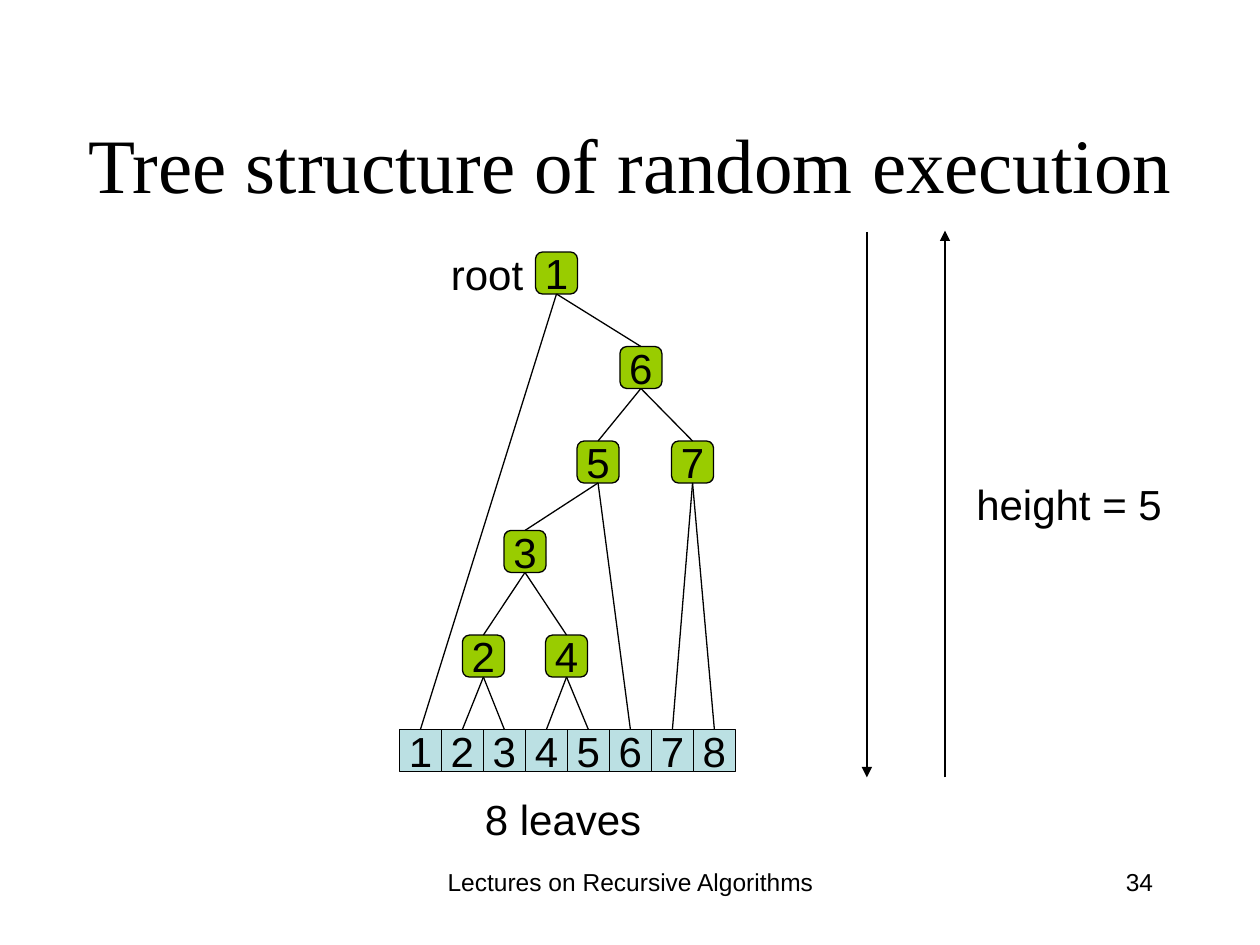
from pptx import Presentation
from pptx.dml.color import RGBColor
from pptx.enum.shapes import MSO_CONNECTOR, MSO_SHAPE
from pptx.enum.text import MSO_ANCHOR, MSO_AUTO_SIZE, PP_ALIGN
from pptx.oxml.ns import qn
from pptx.util import Inches, Pt
from lxml import etree

RECT, ROUND = MSO_SHAPE.RECTANGLE, MSO_SHAPE.ROUNDED_RECTANGLE
STRAIGHT = MSO_CONNECTOR.STRAIGHT
MIDDLE, TOP = MSO_ANCHOR.MIDDLE, MSO_ANCHOR.TOP
LEFT, CENTER, RIGHT = PP_ALIGN.LEFT, PP_ALIGN.CENTER, PP_ALIGN.RIGHT
GROW, FIXED = MSO_AUTO_SIZE.SHAPE_TO_FIT_TEXT, MSO_AUTO_SIZE.NONE

THEME = {
    "ink": RGBColor(0x00, 0x00, 0x00),
    "leaf": RGBColor(0xBB, 0xE0, 0xE3),
    "node": RGBColor(0x99, 0xCC, 0x00),
    "title_font": "Times New Roman",
    "body_font": "Arial",
    "title_size": 44,
    "body_size": 24,
    "footer_size": 14,
    "line": 0.74,
}

CELL = 1 / 3
LEAF_LEFT, LEAF_TOP = 3.17, 5.79
NODES = {
    "1": (4.25, 2), "6": (4.92, 2.75), "5": (4.58, 3.5),
    "7": (5.33, 3.5), "3": (4, 4.21), "2": (3.67, 5.04), "4": (4.33, 5.04),
}
NODE_CHILDREN = {"1": "6", "6": "57", "5": "3", "3": "24"}
LEAF_CHILDREN = {"1": "1", "2": "23", "4": "45", "5": "6", "7": "78"}


def write(sp, text, size, font, align, anchor, wrap):
    tf = sp.text_frame
    tf.text = text
    tf.word_wrap = wrap
    tf.vertical_anchor = anchor
    p = tf.paragraphs[0]
    p.alignment = align
    r = p.runs[0]
    r.font.size = Pt(size)
    r.font.name = font
    r.font.color.rgb = THEME["ink"]


def connect(start, end):
    line = s.shapes.add_connector(STRAIGHT, *[Inches(v) for v in (*start, *end)])
    line.line.color.rgb = THEME["ink"]
    line.line.width = Pt(THEME["line"])
    etree.SubElement(line._element.spPr, qn("a:effectLst"))
    return line


prs = Presentation()
prs.slide_width, prs.slide_height = Inches(10), Inches(7.5)
s = prs.slides.add_slide(prs.slide_layouts[5])

title = s.shapes.title
title.left, title.top = Inches(0.42), Inches(0.67)
title.width, title.height = Inches(9.17), Inches(1.25)
write(title, "Tree structure of random execution", THEME["title_size"],
      THEME["title_font"], CENTER, MIDDLE, True)

leaves = {str(i + 1): (LEAF_LEFT + i * CELL, LEAF_TOP) for i in range(8)}
for boxes, kind, fill in ((leaves, RECT, "leaf"), (NODES, ROUND, "node")):
    for key, (x, y) in boxes.items():
        sp = s.shapes.add_shape(kind, Inches(x), Inches(y), Inches(CELL), Inches(CELL))
        sp.shadow.inherit = False
        sp.fill.solid()
        sp.fill.fore_color.rgb = THEME[fill]
        sp.line.color.rgb = THEME["ink"]
        sp.line.width = Pt(THEME["line"])
        write(sp, key, THEME["body_size"], THEME["body_font"], CENTER, MIDDLE, False)

for children, boxes in ((NODE_CHILDREN, NODES), (LEAF_CHILDREN, leaves)):
    for parent, keys in children.items():
        px, py = NODES[parent]
        for key in keys:
            x, y = boxes[key]
            connect((px + CELL / 2, py + CELL), (x + CELL / 2, y))

for start, end in (((6.88, 1.84), (6.88, 6.17)), ((7.5, 6.17), (7.5, 1.83))):
    arrow = connect(start, end)
    etree.SubElement(arrow._element.spPr.find(qn("a:ln")), qn("a:tailEnd"), type="triangle")

for text, x, y, w, size, align, wrap in (
    ("root", 3.48, 1.92, 0.78, THEME["body_size"], LEFT, False),
    ("height = 5", 7.65, 3.75, 1.67, THEME["body_size"], LEFT, False),
    ("8 leaves", 3.75, 6.25, 1.44, THEME["body_size"], LEFT, False),
    ("Lectures on Recursive Algorithms", 3.42, 6.83, 3.17, THEME["footer_size"], CENTER, True),
    ("34", 7.17, 6.83, 2.08, THEME["footer_size"], RIGHT, True),
):
    label = s.shapes.add_textbox(Inches(x), Inches(y), Inches(w), Inches(0.5))
    write(label, text, size, THEME["body_font"], align, TOP, wrap)
    label.text_frame.auto_size = FIXED if wrap else GROW

prs.save("out.pptx")
